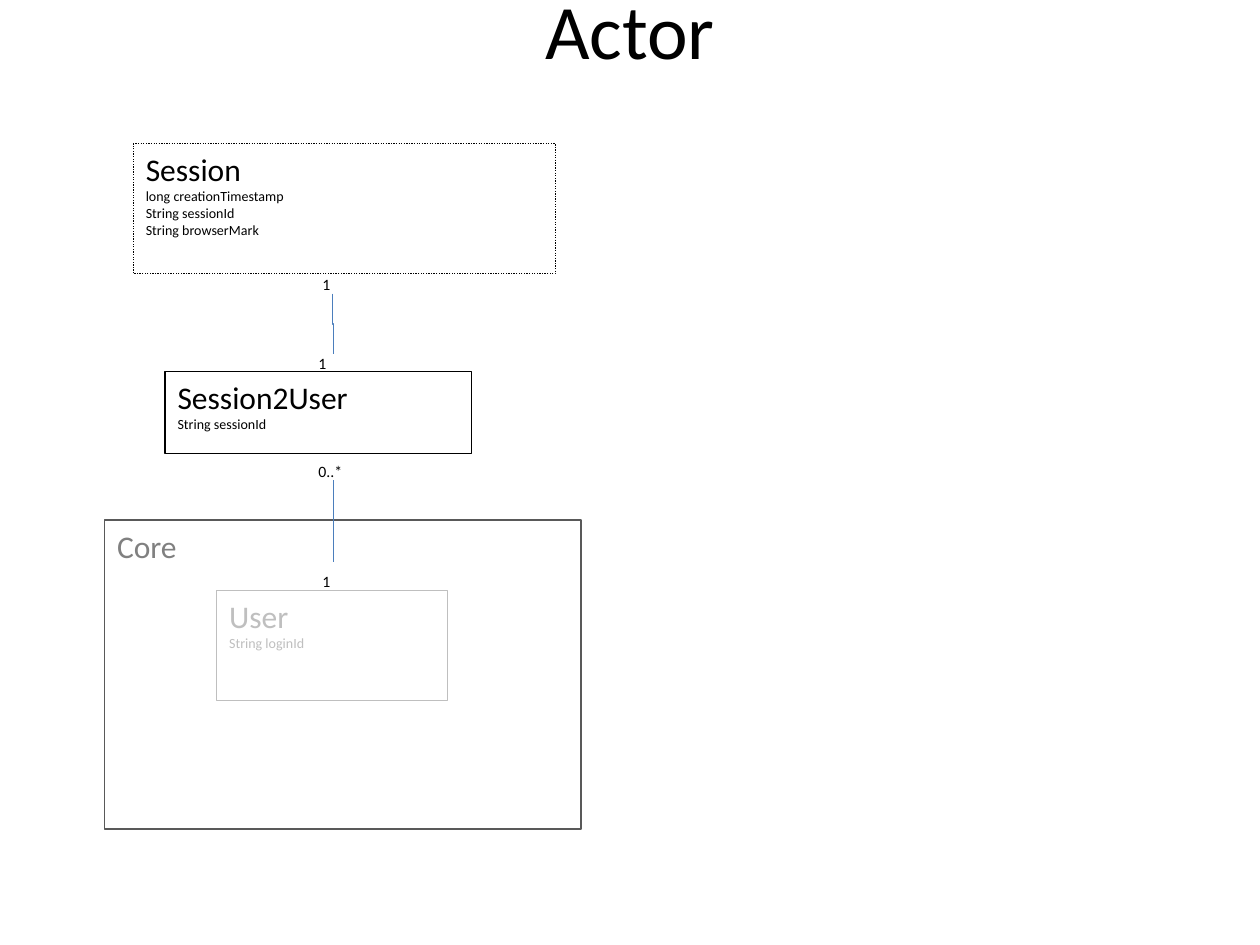
from dataclasses import dataclass
from typing import Any, Optional

from lxml.etree import SubElement
from pptx import Presentation
from pptx.dml.color import RGBColor
from pptx.enum.dml import MSO_LINE
from pptx.enum.shapes import MSO_CONNECTOR, MSO_SHAPE
from pptx.enum.text import MSO_ANCHOR, MSO_AUTO_SIZE, PP_ALIGN
from pptx.oxml.ns import qn
from pptx.util import Cm, Pt

BLACK = RGBColor(0x00, 0x00, 0x00)
WHITE = RGBColor(0xFF, 0xFF, 0xFF)
DARK_GRAY = RGBColor(0x59, 0x59, 0x59)
GRAY = RGBColor(0x80, 0x80, 0x80)
BLUE = RGBColor(0x4B, 0x7E, 0xBC)
FONT = "Calibri"
LABEL_HEIGHT = 0.38
LABEL_FORMAT = {
    "margin_left": 0, "margin_top": 0, "margin_right": 0, "margin_bottom": 0,
    "word_wrap": True, "auto_size": MSO_AUTO_SIZE.SHAPE_TO_FIT_TEXT,
}
TITLE_FORMAT = {"word_wrap": True, "vertical_anchor": MSO_ANCHOR.MIDDLE}


@dataclass(frozen=True)
class ClassBox:
    name: str
    left: float
    top: float
    width: float
    height: float
    fields: tuple[str, ...] = ()
    text_color: RGBColor = BLACK
    line_color: RGBColor = BLACK
    line_width: float = 0.75
    dash: Optional[MSO_LINE] = None
    opacity: Optional[int] = None
    wrap: bool = False


@dataclass(frozen=True)
class Multiplicity:
    text: str
    left: float
    top: float
    width: float


USER = ClassBox("User", 4.37, 11.91, 4.65, 2.21, ("String loginId",))
SESSION = ClassBox(
    "Session", 2.69, 2.9, 8.51, 2.62,
    ("long creationTimestamp", "String sessionId", "String browserMark"),
    dash=MSO_LINE.ROUND_DOT,
)
SESSION_TO_USER = ClassBox(
    "Session2User", 3.33, 7.49, 6.17, 1.65, ("String sessionId",), opacity=100
)
CORE = ClassBox(
    "Core", 2.11, 10.49, 9.6, 6.22, text_color=GRAY, line_color=DARK_GRAY,
    line_width=1, opacity=75, wrap=True,
)
SESSION_END = Multiplicity(" 1", 6.43, 5.54, 0.56)
LINK_START = Multiplicity(" 1", 6.35, 7.14, 0.76)
LINK_END = Multiplicity(" 0..*", 6.35, 9.3, 0.76)
USER_END = Multiplicity(" 1", 6.43, 11.53, 0.56)


def apply_format(target: Any, values: dict[str, Any]) -> None:
    for name, value in values.items():
        setattr(target, name, value)


def write_lines(frame: Any, lines: list[tuple[str, float]], color: RGBColor,
                alignment: PP_ALIGN = PP_ALIGN.LEFT) -> None:
    for index, (text, size) in enumerate(lines):
        paragraph = frame.add_paragraph() if index else frame.paragraphs[0]
        paragraph.alignment = alignment
        run = paragraph.add_run()
        run.text = text
        apply_format(run.font, {"name": FONT, "size": Pt(size)})
        run.font.color.rgb = color


def add_class_box(slide: Any, box: ClassBox) -> None:
    shape = slide.shapes.add_shape(
        MSO_SHAPE.RECTANGLE, Cm(box.left), Cm(box.top), Cm(box.width), Cm(box.height)
    )
    shape.shadow.inherit = False
    if box.opacity is None:
        shape.fill.background()
    else:
        shape.fill.solid()
        shape.fill.fore_color.rgb = WHITE
        color = shape._element.spPr.find(qn("a:solidFill")).find(qn("a:srgbClr"))
        SubElement(color, qn("a:alpha"), val=str(box.opacity * 1000))
    shape.line.color.rgb = box.line_color
    apply_format(shape.line, {"width": Pt(box.line_width), "dash_style": box.dash})
    apply_format(
        shape.text_frame, {"word_wrap": box.wrap, "vertical_anchor": MSO_ANCHOR.TOP}
    )
    lines = [(box.name, 18), *((field, 8) for field in box.fields)]
    write_lines(shape.text_frame, lines, box.text_color)


def add_multiplicity(slide: Any, label: Multiplicity) -> Any:
    shape = slide.shapes.add_textbox(
        Cm(label.left), Cm(label.top), Cm(label.width), Cm(LABEL_HEIGHT)
    )
    apply_format(shape.text_frame, LABEL_FORMAT)
    write_lines(shape.text_frame, [(label.text, 9)], BLACK)
    return shape


def add_link(slide: Any, kind: MSO_CONNECTOR, start: tuple[float, float],
             end: tuple[float, float]) -> Any:
    connector = slide.shapes.add_connector(kind, *map(Cm, start), *map(Cm, end))
    connector.line.color.rgb = BLUE
    connector.line.width = Pt(0.75)
    SubElement(connector._element.spPr, qn("a:effectLst"))
    return connector


def add_vertical_elbow(slide: Any, start: tuple[float, float],
                       end: tuple[float, float]) -> None:
    center_x, center_y = (start[0] + end[0]) / 2, (start[1] + end[1]) / 2
    half_length, half_shift = (end[1] - start[1]) / 2, (end[0] - start[0]) / 2
    connector = add_link(
        slide, MSO_CONNECTOR.ELBOW,
        (center_x + half_length, center_y - half_shift),
        (center_x - half_length, center_y + half_shift),
    )
    connector._element.spPr.find(qn("a:xfrm")).set("rot", str(270 * 60000))


def add_title(slide: Any, text: str) -> None:
    shape = slide.shapes.add_textbox(Cm(1.27), Cm(-0.08), Cm(22.86), Cm(1.32))
    apply_format(shape.text_frame, TITLE_FORMAT)
    write_lines(shape.text_frame, [(text, 44)], BLACK, PP_ALIGN.CENTER)


def main() -> None:
    """Build the class diagram of the actor and save it."""
    presentation = Presentation()
    apply_format(presentation, {"slide_width": Cm(25.4), "slide_height": Cm(19.05)})
    slide = presentation.slides.add_slide(presentation.slide_layouts[6])
    add_class_box(slide, USER)
    add_title(slide, "Actor")
    add_class_box(slide, SESSION)
    add_multiplicity(slide, SESSION_END)
    add_vertical_elbow(slide, (6.71, 5.92), (6.73, 7.14))
    add_class_box(slide, SESSION_TO_USER)
    add_multiplicity(slide, LINK_START)
    add_class_box(slide, CORE)
    link_end = add_multiplicity(slide, LINK_END)
    user_link = add_link(slide, MSO_CONNECTOR.STRAIGHT, (6.73, 9.68), (6.73, 11.33))
    user_link.begin_connect(link_end, 2)
    add_multiplicity(slide, USER_END)
    presentation.save("out.pptx")


if __name__ == "__main__":
    main()
